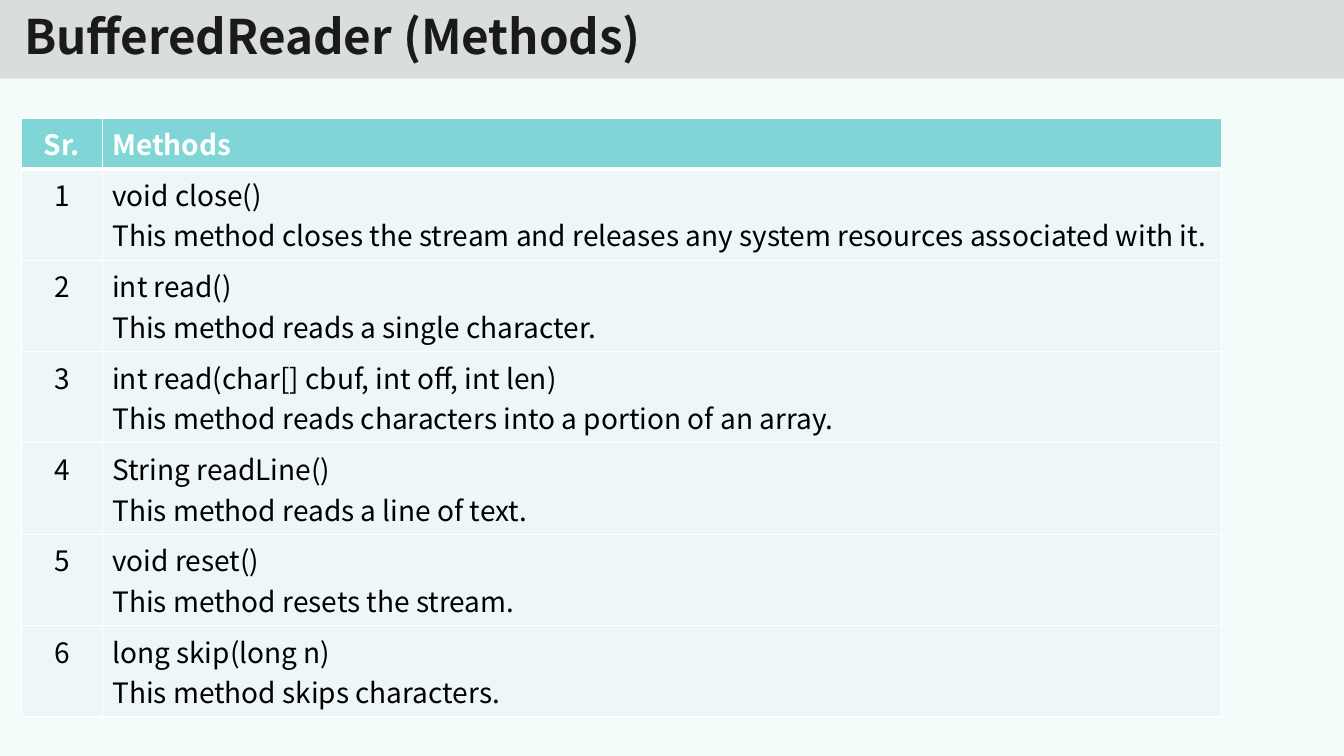
"""Build a slide that lists the methods of BufferedReader in a table."""
from dataclasses import dataclass

from lxml import etree
from pptx import Presentation
from pptx.dml.color import RGBColor
from pptx.enum.shapes import MSO_SHAPE
from pptx.enum.text import MSO_ANCHOR, PP_ALIGN
from pptx.oxml.ns import qn
from pptx.shapes.autoshape import Shape
from pptx.slide import Slide
from pptx.table import _Cell
from pptx.text.text import TextFrame
from pptx.util import Inches, Pt

RECT = MSO_SHAPE.RECTANGLE
MIDDLE = MSO_ANCHOR.MIDDLE
LEFT, CENTER = PP_ALIGN.LEFT, PP_ALIGN.CENTER

FONT = "Noto Sans CJK SC"
WHITE = RGBColor(0xFF, 0xFF, 0xFF)
BLACK = RGBColor(0, 0, 0)
INK = RGBColor(0x1A, 0x1A, 0x1A)
MINT = RGBColor(0xE6, 0xF7, 0xF7)
GREY = RGBColor(0xC0, 0xC0, 0xC0)
TEAL = RGBColor(0x80, 0xD6, 0xD6)
PALE = RGBColor(0xED, 0xF7, 0xF7)

WIDTH, HEIGHT = Inches(13.33), Inches(7.5)


@dataclass(frozen=True)
class Method:
    """A method's signature and what it does."""
    name: str
    use: str


METHODS = [
    Method("void close()",
           "This method closes the stream and releases any system resources associated with it."),
    Method("int read()", "This method reads a single character."),
    Method("int read(char[] cbuf, int off, int len)",
           "This method reads characters into a portion of an array."),
    Method("String readLine()", "This method reads a line of text."),
    Method("void reset()", "This method resets the stream."),
    Method("long skip(long n)", "This method skips characters."),
]


def wide(share: float) -> int:
    """Return a percentage of the slide's width."""
    return round(WIDTH * share / 100)


def tall(share: float) -> int:
    """Return a percentage of the slide's height."""
    return round(HEIGHT * share / 100)


def write(frame: TextFrame, text: str, *, size: float = 20, color: RGBColor = BLACK,
          bold: bool = False, align: PP_ALIGN = LEFT, space: float = 1.0) -> None:
    """Fill a frame with one paragraph per line of text."""
    frame.text = text
    for para in frame.paragraphs:
        para.alignment = align
        para.line_spacing = space
        for run in para.runs:
            font = run.font
            font.name, font.size, font.bold = FONT, Pt(size), bold
            font.color.rgb = color


def panel(slide: Slide, height: int, color: RGBColor, alpha: int) -> Shape:
    """Draw a translucent band across the top of the slide."""
    shape = slide.shapes.add_shape(RECT, 0, 0, WIDTH, height)
    shape.shadow.inherit = False
    shape.line.fill.background()
    shape.fill.solid()
    shape.fill.fore_color.rgb = color
    tint = shape._element.spPr.find(qn("a:solidFill"))[0]
    etree.SubElement(tint, qn("a:alpha"), val=str(alpha * 1000))
    return shape


def border(cell: _Cell, top: float, bottom: float) -> None:
    """Give a cell white edges, with the top and bottom widths in points."""
    props = cell._tc.get_or_add_tcPr()
    edges = {"a:lnL": 1, "a:lnR": 1, "a:lnT": top, "a:lnB": bottom}
    for spot, (tag, width) in enumerate(edges.items()):
        line = etree.Element(qn(tag), w=str(Pt(width)))
        fill = etree.SubElement(line, qn("a:solidFill"))
        etree.SubElement(fill, qn("a:srgbClr"), val=str(WHITE))
        props.insert(spot, line)


def grid(slide: Slide) -> None:
    """Draw the table of methods."""
    rows = [("Sr.", "Methods")]
    rows += [(str(num), f"{item.name}\n{item.use}") for num, item in enumerate(METHODS, 1)]
    cols = [wide(6), wide(83.27)]
    lines = [tall(6.67)] + [tall(12)] * len(METHODS)
    table = slide.shapes.add_table(len(rows), len(cols), wide(1.6), tall(15.6),
                                   sum(cols), sum(lines)).table
    for col, width in zip(table.columns, cols):
        col.width = width
    for row, height in zip(table.rows, lines):
        row.height = height
    for row, texts in enumerate(rows):
        head = row == 0
        for col, text in enumerate(texts):
            cell = table.cell(row, col)
            cell.fill.solid()
            cell.fill.fore_color.rgb = TEAL if head else PALE
            border(cell, top=3 if row == 1 else 1, bottom=3 if head else 1)
            write(cell.text_frame, text, bold=head, color=WHITE if head else BLACK,
                  align=LEFT if col else CENTER)


def main() -> None:
    """Build and save the slide."""
    deck = Presentation()
    deck.slide_width, deck.slide_height = WIDTH, HEIGHT
    slide = deck.slides.add_slide(deck.slide_layouts[6])
    panel(slide, HEIGHT, MINT, 43)
    frame = panel(slide, tall(10.4), GREY, 50).text_frame
    frame.word_wrap = True
    frame.vertical_anchor = MIDDLE
    frame.margin_left = frame.margin_right = wide(1.8)
    frame.margin_top = frame.margin_bottom = tall(1.6)
    write(frame, "BufferedReader (Methods)", size=34, color=INK, bold=True, space=0.9)
    grid(slide)
    deck.save("out.pptx")


if __name__ == "__main__":
    main()
